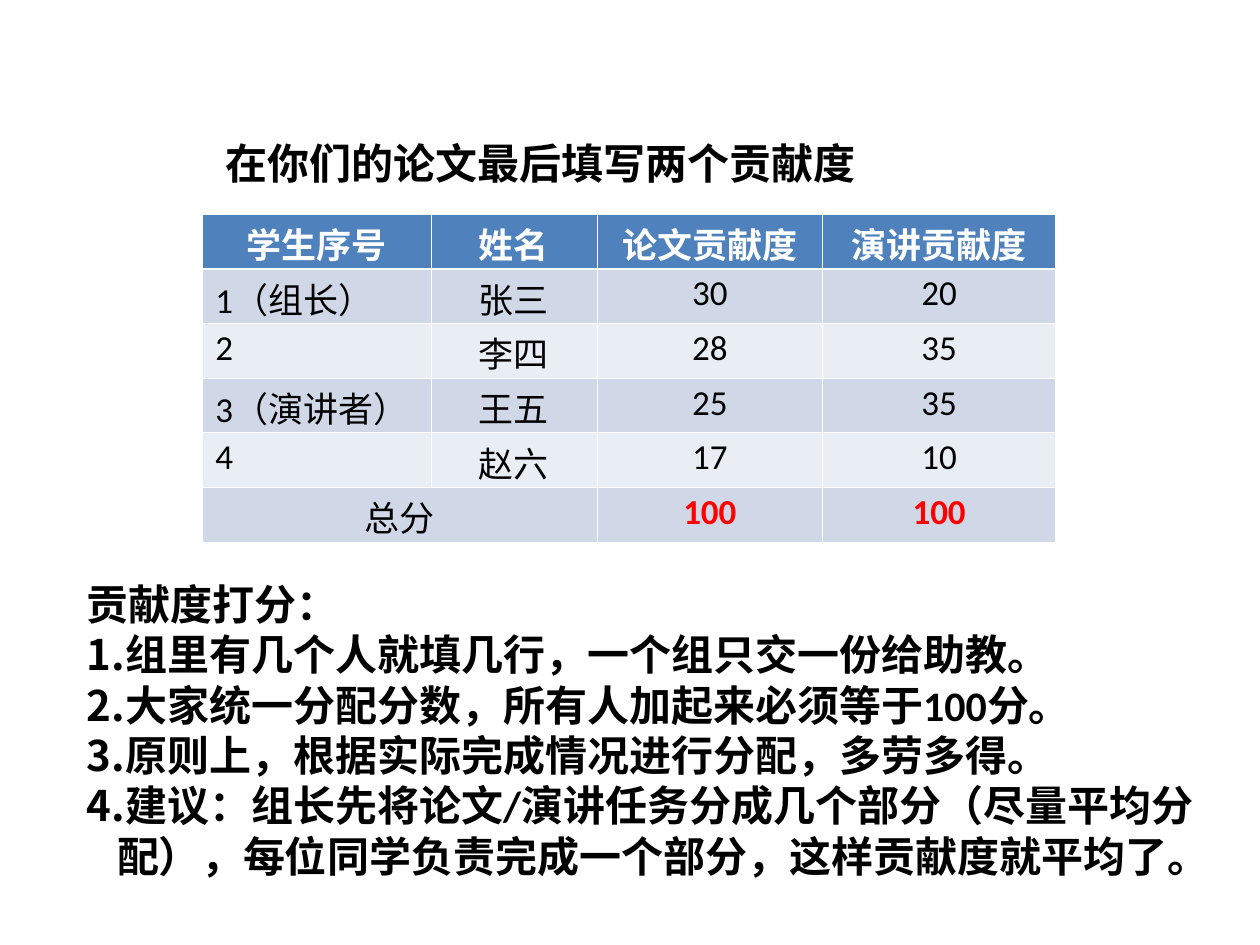
"""Build a slide that explains how to fill in the two contribution scores."""
from lxml import etree
from pptx import Presentation
from pptx.dml.color import RGBColor
from pptx.enum.text import MSO_ANCHOR, PP_ALIGN
from pptx.oxml.ns import qn
from pptx.util import Inches, Pt

LEFT, CENTER, JUSTIFY = PP_ALIGN.LEFT, PP_ALIGN.CENTER, PP_ALIGN.JUSTIFY
TOP = MSO_ANCHOR.TOP
BLACK = RGBColor(0x00, 0x00, 0x00)
WHITE = RGBColor(0xFF, 0xFF, 0xFF)
RED = RGBColor(0xFF, 0x00, 0x00)
HEADER_BLUE = RGBColor(0x4F, 0x81, 0xBD)
BAND_DARK = RGBColor(0xD0, 0xD8, 0xE8)
BAND_LIGHT = RGBColor(0xE9, 0xED, 0xF4)

COLUMN_WIDTHS = [1.81, 1.32, 1.79, 1.85]
ROW_HEIGHT = 0.43
ROWS = [
    ["学生序号", "姓名", "论文贡献度", "演讲贡献度"],
    ["1（组长）", "张三", "30", "20"],
    ["2", "李四", "28", "35"],
    ["3（演讲者）", "王五", "25", "35"],
    ["4", "赵六", "17", "10"],
    ["总分", "", "100", "100"],
]
RULES = [
    "组里有几个人就填几行，一个组只交一份给助教。",
    "大家统一分配分数，所有人加起来必须等于100分。",
    "原则上，根据实际完成情况进行分配，多劳多得。",
    "建议：组长先将论文/演讲任务分成几个部分（尽量平均分配），"
    "每位同学负责完成一个部分，这样贡献度就平均了。",
]


def write(para, text, size=24, color=BLACK, bold=True, align=LEFT):
    """Add one formatted run to a paragraph."""
    para.alignment = align
    span = para.add_run()
    span.text = text
    span.font.name = "Calibri"
    span.font.size = Pt(size)
    span.font.bold = bold
    span.font.color.rgb = color


def set_borders(cell, widths):
    """Draw white cell borders, with widths in points keyed by side."""
    properties = cell._tc.get_or_add_tcPr()
    for index, (side, width) in enumerate(widths.items()):
        line = etree.Element(qn(f"a:ln{side}"), w=str(Pt(width)))
        fill = etree.SubElement(line, qn("a:solidFill"))
        etree.SubElement(fill, qn("a:srgbClr"), val=str(WHITE))
        properties.insert(index, line)


deck = Presentation()
deck.slide_width, deck.slide_height = Inches(10), Inches(7.5)
page = deck.slides.add_slide(deck.slide_layouts[5])

title = page.shapes.title
title.left, title.top = Inches(1.69), Inches(1.04)
title.width, title.height = Inches(6.93), Inches(0.5)
title.text_frame.vertical_anchor = TOP
write(title.text_frame.paragraphs[0], "在你们的论文最后填写两个贡献度")

table = page.shapes.add_table(
    len(ROWS), len(COLUMN_WIDTHS), Inches(1.61), Inches(1.7),
    Inches(sum(COLUMN_WIDTHS)), Inches(ROW_HEIGHT * len(ROWS))).table
for column, width in zip(table.columns, COLUMN_WIDTHS):
    column.width = Inches(width)

last = len(ROWS) - 1
for r, values in enumerate(ROWS):
    table.rows[r].height = Inches(ROW_HEIGHT)
    for c, value in enumerate(values):
        cell = table.cell(r, c)
        cell.margin_top, cell.margin_bottom = Inches(0.03), Inches(0)
        cell.fill.solid()
        cell.fill.fore_color.rgb = (
            HEADER_BLUE if r == 0 else BAND_DARK if r % 2 else BAND_LIGHT)
        set_borders(cell, {"L": 0.45, "R": 0.45,
                           "T": 1.47 if r == 1 else 0.45,
                           "B": 1.47 if r == 0 else 0.45})
        if value:
            is_total = r == last and c > 1
            write(cell.text_frame.paragraphs[0], value, size=20,
                  color=WHITE if r == 0 else RED if is_total else BLACK,
                  bold=r == 0 or is_total,
                  align=JUSTIFY if c == 0 and 0 < r < last else CENTER)
table.cell(last, 0).merge(table.cell(last, 1))

box = page.shapes.add_textbox(Inches(0.59), Inches(4.54), Inches(9.22), Inches(2.5))
box.text_frame.word_wrap = True
write(box.text_frame.paragraphs[0], "贡献度打分：")
for rule in RULES:
    para = box.text_frame.add_paragraph()
    write(para, rule)
    properties = para._p.get_or_add_pPr()
    properties.set("marL", str(Inches(0.24)))
    properties.set("indent", str(Inches(-0.24)))
    etree.SubElement(properties, qn("a:buFont"), typeface="+mj-lt")
    etree.SubElement(properties, qn("a:buAutoNum"), type="arabicPeriod")

deck.save("out.pptx")
